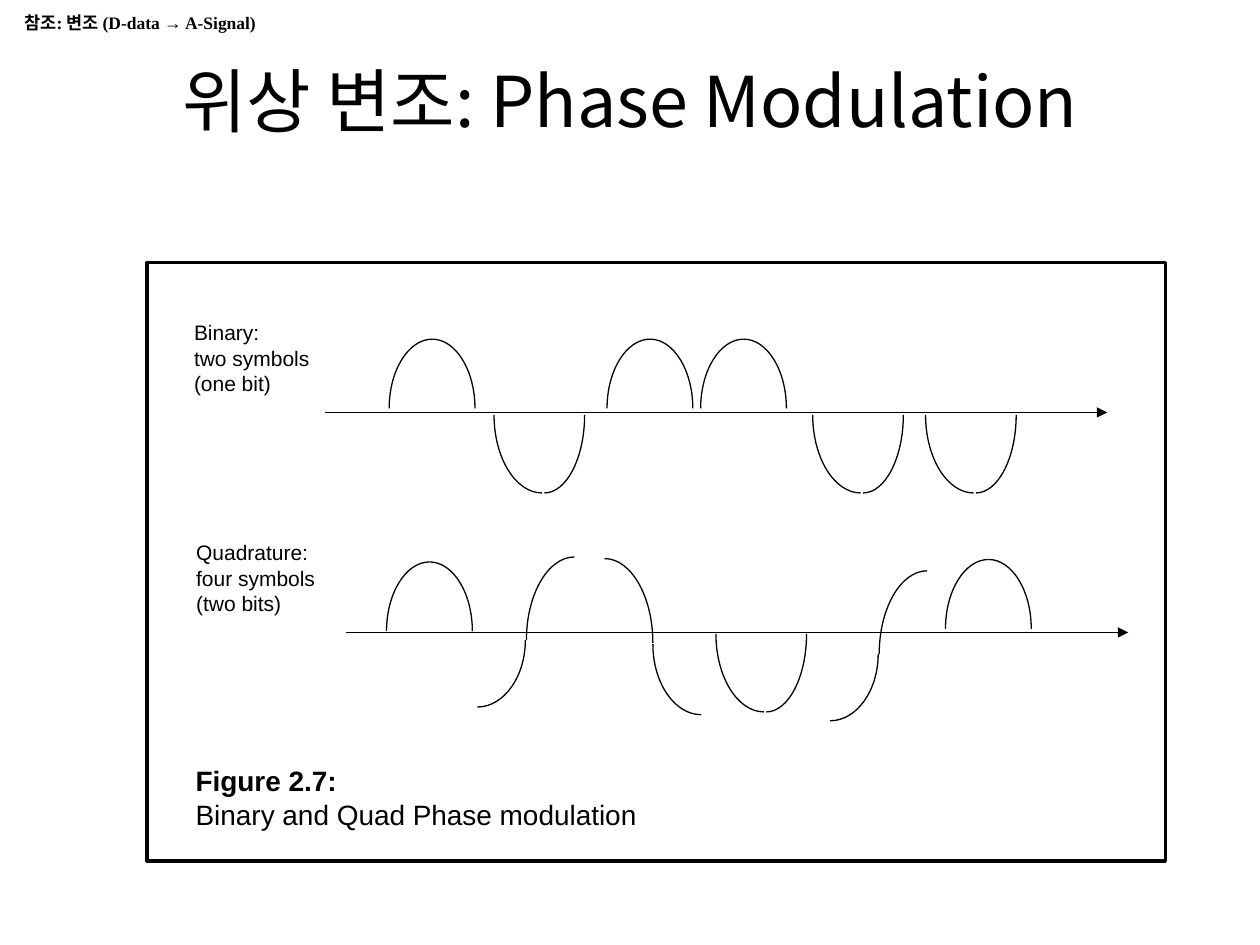
from lxml.etree import SubElement
from pptx import Presentation
from pptx.dml.color import RGBColor
from pptx.enum.shapes import MSO_CONNECTOR, MSO_SHAPE
from pptx.enum.text import MSO_ANCHOR, PP_ALIGN
from pptx.oxml.ns import qn
from pptx.util import Pt

BLACK = "000000"
ROUNDNESS = 0.55


def color(hex_value):
    return RGBColor.from_string(hex_value)


def add_text(slide, box, lines, size, font, bold_lines=(), inset=None,
             align=PP_ALIGN.LEFT, anchor=MSO_ANCHOR.TOP):
    frame = slide.shapes.add_textbox(*map(Pt, box)).text_frame
    frame.word_wrap = True
    frame.vertical_anchor = anchor
    if inset is not None:
        frame.margin_left = frame.margin_right = Pt(inset)
        frame.margin_top = frame.margin_bottom = Pt(inset)
    for index, line in enumerate(lines):
        paragraph = frame.add_paragraph() if index else frame.paragraphs[0]
        paragraph.alignment = align
        run = paragraph.add_run()
        run.text = line
        run.font.size = Pt(size)
        run.font.name = font
        run.font.bold = index in bold_lines
        run.font.color.rgb = color(BLACK)


def style_outline(shape, width):
    shape.shadow.inherit = False
    shape.fill.background()
    shape.line.color.rgb = color(BLACK)
    shape.line.width = Pt(width)


def add_quarter(slide, apex, foot):
    builder = slide.shapes.build_freeform(Pt(apex[0]), Pt(apex[1]))
    builder.add_line_segments([(Pt(foot[0]), Pt(foot[1]))], close=False)
    shape = builder.convert_to_shape()
    style_outline(shape, 0.75)
    left, top = min(apex[0], foot[0]), min(apex[1], foot[1])
    controls = [(apex[0] + ROUNDNESS * (foot[0] - apex[0]), apex[1]),
                (foot[0], foot[1] + ROUNDNESS * (apex[1] - foot[1])),
                foot]
    segment = next(shape._element.iter(qn("a:lnTo")))
    curve = SubElement(segment.getparent(), qn("a:cubicBezTo"))
    for x, y in controls:
        SubElement(curve, qn("a:pt"), x=str(Pt(x - left)), y=str(Pt(y - top)))
    segment.getparent().remove(segment)


def add_crest(slide, x, y):
    for foot_x in (x, x + 49):
        add_quarter(slide, (x + 24.6, y - 39.6), (foot_x, y))


def add_trough(slide, x, y):
    add_quarter(slide, (x + 27.4, y + 44.6), (x, y))
    add_quarter(slide, (x + 28.8, y + 44.6), (x + 51.8, y))


def add_rise(slide, x, y):
    add_quarter(slide, (x, y + 38.2), (x + 27.4, y))
    add_quarter(slide, (x + 55.4, y - 47.5), (x + 28, y))


def add_fall(slide, x, y):
    add_quarter(slide, (x, y - 48.2), (x + 27.6, y))
    add_quarter(slide, (x + 55.2, y + 41), (x + 27.6, y + 0.7))


def add_axis(slide, x, y, length):
    axis = slide.shapes.add_connector(
        MSO_CONNECTOR.STRAIGHT, Pt(x), Pt(y), Pt(x + length), Pt(y))
    axis.line.color.rgb = color(BLACK)
    axis.line.width = Pt(0.75)
    SubElement(axis.line._get_or_add_ln(), qn("a:tailEnd"), type="triangle")
    SubElement(axis._element.spPr, qn("a:effectLst"))


def add_signal(slide, axis_x, axis_y, label_box, label, waves):
    add_text(slide, label_box, label, 12, "Arial", inset=0)
    add_axis(slide, axis_x, axis_y, 446.8)
    for draw, x, y in waves:
        draw(slide, axis_x + x, axis_y + y)


def add_figure(slide, left, top, width, height):
    add_signal(
        slide, left + 101.8, top + 85.7, (left + 26.8, top + 32.9, 86, 52),
        ["Binary:", "two symbols", "(one bit)"],
        [(add_crest, x, -2.3) for x in (36.5, 161, 214.5)]
        + [(add_trough, x, 1.4) for x in (96.4, 278.5, 343)])
    add_signal(
        slide, left + 113.8, top + 211.4, (left + 28, top + 158.6, 96, 52),
        ["Quadrature:", "four symbols", "(two bits)"],
        [(add_crest, 23, -0.7), (add_rise, 74.9, 4.4), (add_fall, 147.6, 6),
         (add_trough, 211.2, 0.8), (add_rise, 276.5, 12.3),
         (add_crest, 342.4, -2.1)])
    add_text(slide, (left + 20.6, top + 283, 386, 52.6),
             ["Figure 2.7:", "Binary and Quad Phase modulation"],
             16, "Arial", bold_lines=(0,))
    frame = slide.shapes.add_shape(
        MSO_SHAPE.RECTANGLE, Pt(left), Pt(top), Pt(width), Pt(height))
    style_outline(frame, 2)


def add_heading(slide, left, top, width, height):
    add_text(slide, (left, top, width, height), ["위상 변조: Phase Modulation"],
             40, "Noto Sans CJK KR", align=PP_ALIGN.CENTER,
             anchor=MSO_ANCHOR.MIDDLE)


def add_reference(slide, left, top, width, height):
    add_text(slide, (left, top, width, height),
             ["참조: 변조 (D-data → A-Signal)"], 10, "Times New Roman",
             bold_lines=(0,))


def main():
    presentation = Presentation()
    presentation.slide_width = Pt(720)
    presentation.slide_height = Pt(540)
    slide = presentation.slides.add_slide(presentation.slide_layouts[6])
    add_heading(slide, 54, 29.6, 612, 54)
    add_figure(slide, 84.1, 150, 581.8, 342)
    add_reference(slide, 6.9, 3.4, 156.2, 19.4)
    presentation.save("out.pptx")


if __name__ == "__main__":
    main()
